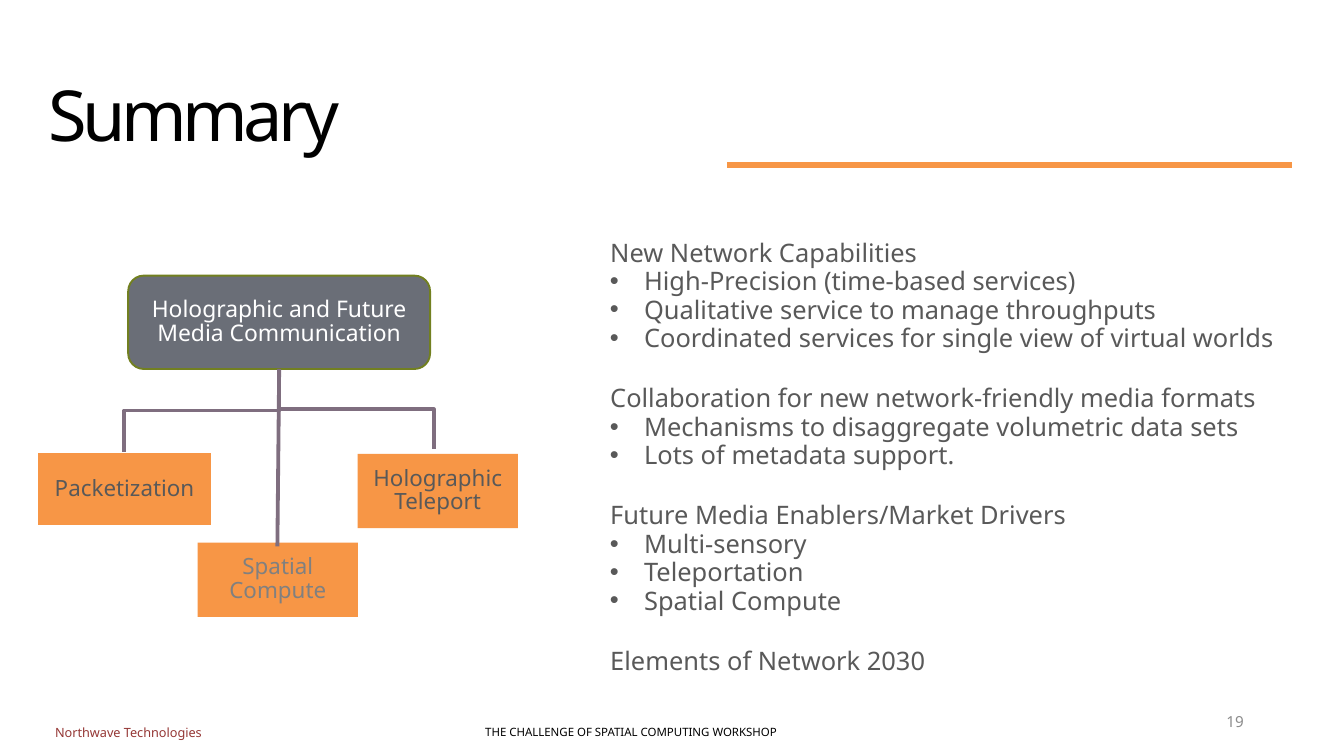
from lxml import etree
from pptx import Presentation
from pptx.dml.color import RGBColor
from pptx.enum.shapes import MSO_CONNECTOR, MSO_SHAPE
from pptx.enum.text import MSO_ANCHOR, PP_ALIGN
from pptx.oxml.ns import qn
from pptx.util import Cm, Pt

LEFT, CENTER, RIGHT = PP_ALIGN.LEFT, PP_ALIGN.CENTER, PP_ALIGN.RIGHT
MIDDLE = MSO_ANCHOR.MIDDLE
RECT, ROUNDED = MSO_SHAPE.RECTANGLE, MSO_SHAPE.ROUNDED_RECTANGLE
STRAIGHT, ELBOW = MSO_CONNECTOR.STRAIGHT, MSO_CONNECTOR.ELBOW
FONT = "Noto Sans"
ORANGE, MAUVE, GREY = "F79646", "7F6E7F", "595959"
LINE_SPACING = 0.88


def rgb(value):
    return RGBColor.from_string(value)


def add_text(p, text, size, color, align=LEFT):
    p.alignment = align
    r = p.add_run()
    r.text = text
    r.font.name = FONT
    r.font.size = Pt(size)
    r.font.color.rgb = rgb(color)
    return r


prs = Presentation()
prs.slide_width, prs.slide_height = Cm(37.31), Cm(20.98)
s = prs.slides.add_slide(prs.slide_layouts[6])

labels = [
    ("THE CHALLENGE OF SPATIAL COMPUTING WORKSHOP", 10.82, 19.81, 13.39, 1.02, 9, "000000", CENTER),
    ("Northwave Technologies", 1.28, 20.02, 4.9, 0.64, 10, "953735", LEFT),
    ("Summary", 1.09, 1.12, 33.66, 4.06, 55.3, "000000", LEFT),
    ("19", 26.37, 19.46, 8.41, 1.12, 12, "8C8C8C", RIGHT),
]
for text, x, y, w, h, size, color, align in labels:
    tf = s.shapes.add_textbox(Cm(x), Cm(y), Cm(w), Cm(h)).text_frame
    tf.word_wrap = True
    tf.vertical_anchor = MIDDLE
    r = add_text(tf.paragraphs[0], text, size, color, align)
    if text == "Summary":
        r.font._element.set("spc", "-350")

sections = [
    ("New Network Capabilities", [
        "High-Precision (time-based services)",
        "Qualitative service to manage throughputs",
        "Coordinated services for single view of virtual worlds",
    ]),
    ("Collaboration for new network-friendly media formats", [
        "Mechanisms to disaggregate volumetric data sets",
        "Lots of metadata support.",
    ]),
    ("Future Media Enablers/Market Drivers", [
        "Multi-sensory",
        "Teleportation",
        "Spatial Compute",
    ]),
    ("Elements of Network 2030", []),
]
tf = s.shapes.add_textbox(Cm(16.64), Cm(5.99), Cm(19.43), Cm(13.46)).text_frame
tf.word_wrap = True
tf.vertical_anchor = MIDDLE
for i, (heading, bullets) in enumerate(sections):
    p = tf.add_paragraph() if i else tf.paragraphs[0]
    p.space_before = Pt(26.4 if i else 0)
    p.line_spacing = LINE_SPACING
    p._p.get_or_add_pPr().set("marL", str(Cm(0.05)))
    add_text(p, heading, 20, GREY)
    for bullet in bullets:
        p = tf.add_paragraph()
        p.space_before = Pt(1.2)
        p.line_spacing = LINE_SPACING
        pPr = p._p.get_or_add_pPr()
        pPr.set("marL", str(Cm(0.99)))
        pPr.set("indent", str(Cm(-0.95)))
        etree.SubElement(pPr, qn("a:buFont")).set("typeface", "Arial")
        etree.SubElement(pPr, qn("a:buChar")).set("char", "•")
        add_text(p, bullet, 20, GREY)

boxes = [
    (ROUNDED, "Holographic and Future Media Communication", 3.56, 7.65, 8.38, 2.59, "515560", 18, "FFFFFF", ("728020", 1.5)),
    (RECT, "Packetization", 1.02, 12.55, 4.88, 2.06, ORANGE, 17.6, GREY, ("FFFFFF", 2)),
    (RECT, "Holographic Teleport", 9.93, 12.6, 4.45, 2.06, ORANGE, 17.6, GREY, None),
    (RECT, "Spatial Compute", 5.49, 15.06, 4.45, 2.06, ORANGE, 17.6, "808080", None),
]
for kind, text, x, y, w, h, fill, size, color, outline in boxes:
    sp = s.shapes.add_shape(kind, Cm(x), Cm(y), Cm(w), Cm(h))
    sp.shadow.inherit = False
    sp.fill.solid()
    sp.fill.fore_color.rgb = rgb(fill)
    if kind == ROUNDED:
        clr = sp._element.spPr.find(qn("a:solidFill"))[0]
        etree.SubElement(clr, qn("a:alpha")).set("val", "85000")
    if outline:
        sp.line.color.rgb = rgb(outline[0])
        sp.line.width = Pt(outline[1])
    else:
        sp.line.fill.background()
    tf = sp.text_frame
    tf.word_wrap = True
    tf.vertical_anchor = MIDDLE
    tf.margin_left = tf.margin_right = Cm(0.28)
    tf.margin_top = tf.margin_bottom = Cm(0.15)
    p = tf.paragraphs[0]
    p.line_spacing = LINE_SPACING
    add_text(p, text, size, color, CENTER)

root_x, root_y = 7.75, 10.24
links = [
    (STRAIGHT, 35.86, 4.57, 20.19, 4.57, ORANGE, 4.5, 0),
    (STRAIGHT, root_x, root_y, 7.7, 15.16, MAUVE, 3, 0),
]
for child_x, child_y, rotation in [(3.45, 12.55, 90), (12.04, 12.47, 270)]:
    mid_x, mid_y = (root_x + child_x) / 2, (root_y + child_y) / 2
    half_w = abs(child_x - root_x) / 2
    half_h = (child_y - root_y) / 2
    if rotation == 270:
        half_h = -half_h
    links.append((ELBOW, mid_x - half_h, mid_y - half_w,
                  mid_x + half_h, mid_y + half_w, MAUVE, 3, rotation))

for kind, x1, y1, x2, y2, color, width, rotation in links:
    c = s.shapes.add_connector(kind, Cm(x1), Cm(y1), Cm(x2), Cm(y2))
    c.line.color.rgb = rgb(color)
    c.line.width = Pt(width)
    spPr = c._element.spPr
    etree.SubElement(spPr, qn("a:effectLst"))
    if rotation:
        spPr.find(qn("a:xfrm")).set("rot", str(rotation * 60000))

prs.save("out.pptx")
